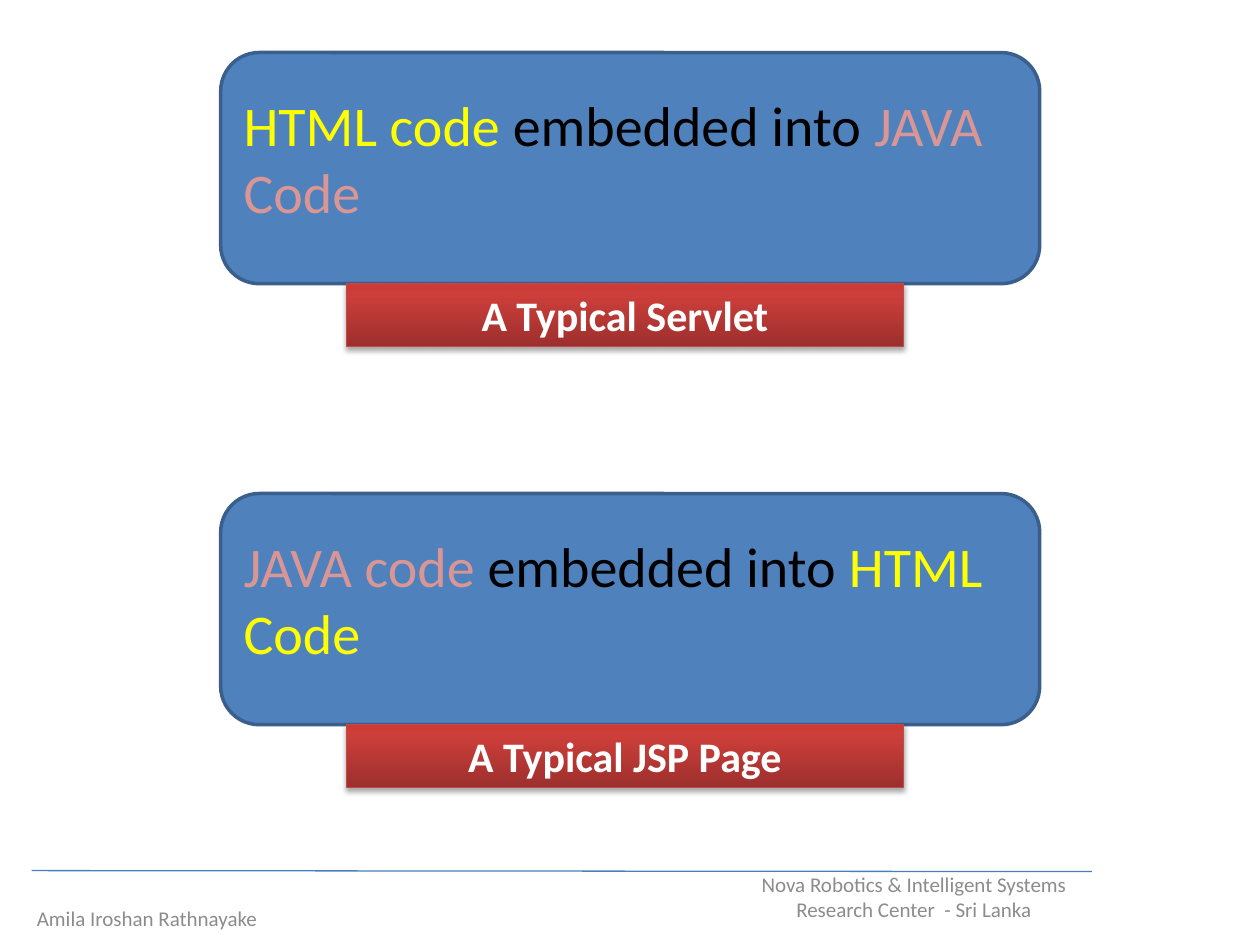
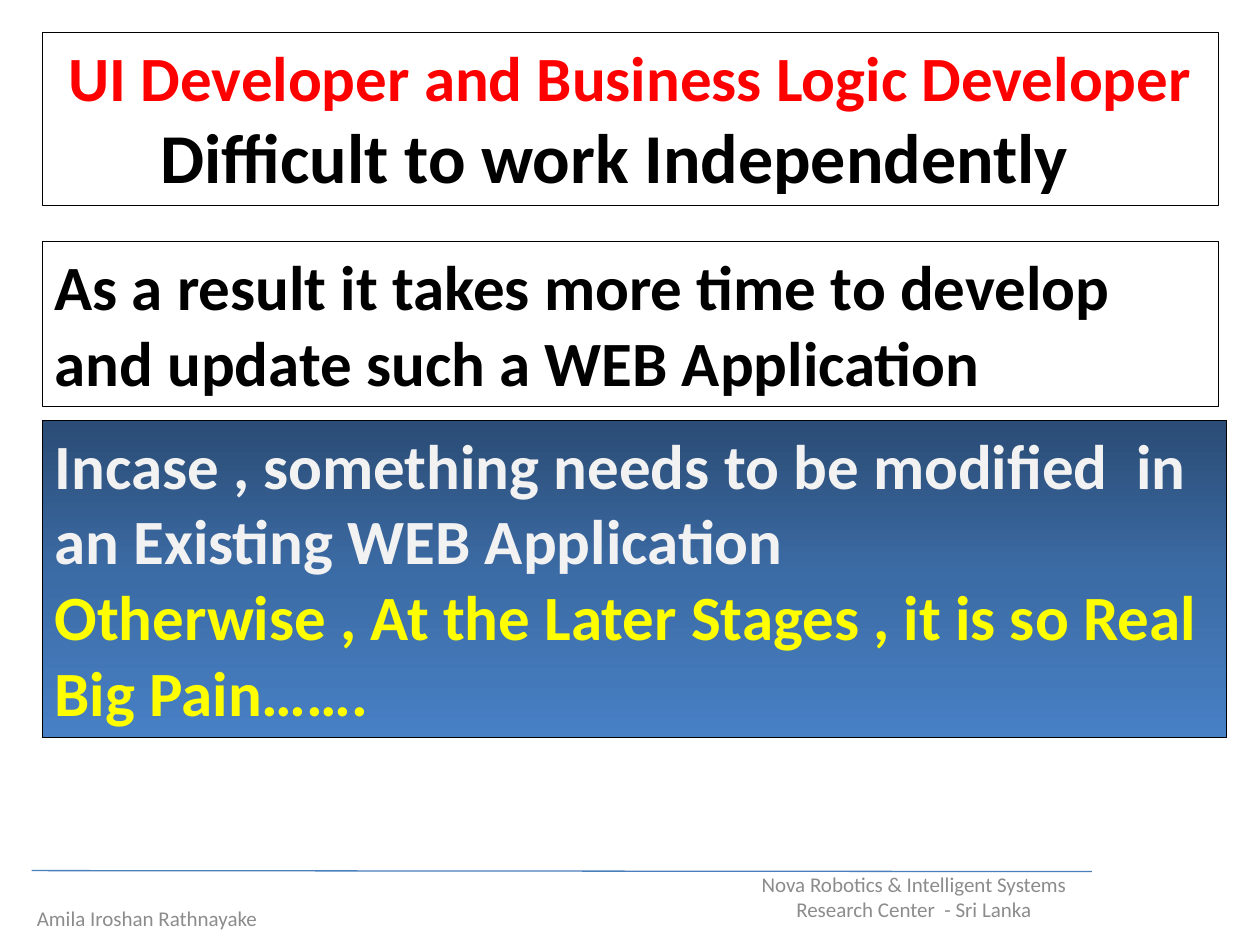
from lxml import etree
from pptx import Presentation
from pptx.dml.color import RGBColor
from pptx.enum import shapes, text
from pptx.oxml.ns import qn
from pptx.util import Cm, Pt

FONT = "Calibri"
BLACK = RGBColor(0x00, 0x00, 0x00)
WHITE = RGBColor(0xFF, 0xFF, 0xFF)
PALE = RGBColor(0xF2, 0xF2, 0xF2)
GREY = RGBColor(0x8C, 0x8C, 0x8C)
YELLOW = RGBColor(0xFF, 0xFF, 0x00)
ROSE = RGBColor(0xD9, 0x96, 0x94)
RED = RGBColor(0xFF, 0x00, 0x00)
PANEL_BLUE = RGBColor(0x4F, 0x81, 0xBD)
PANEL_EDGE = RGBColor(0x3A, 0x5F, 0x8C)
RULE_BLUE = RGBColor(0x4B, 0x7E, 0xBC)
LABEL_EDGE = RGBColor(0xBF, 0x4C, 0x48)
LABEL_GRADIENT = [(0, RGBColor(0x9C, 0x2F, 0x2D)), (80, RGBColor(0xCB, 0x3E, 0x3A)),
                  (100, RGBColor(0xCE, 0x3B, 0x37))]
WARNING_GRADIENT = [(0, RGBColor(0x2A, 0x4C, 0x75)), (50, RGBColor(0x3C, 0x6C, 0xA6)),
                    (100, RGBColor(0x47, 0x80, 0xC5))]

CENTER = text.PP_ALIGN.CENTER
RECTANGLE = shapes.MSO_SHAPE.RECTANGLE
ROUNDED = shapes.MSO_SHAPE.ROUNDED_RECTANGLE

# Boxes are left, top, width, height in centimetres.
FOOTERS = [
    ("Nova Robotics & Intelligent Systems Research Center  - Sri Lanka", (14.4, 17.57, 8.05, 1.02)),
    ("Amila Iroshan Rathnayake", (-1.06, 17.99, 8.05, 1.02)),
]
FOOTER_RULE = (0.64, 17.55, 22.01, 17.57)

# Each paragraph is a list of runs: (text, colour, size).
COMPARISON = [
    ("A Typical Servlet",
     [("HTML code ", YELLOW, 32), ("embedded into ", BLACK, 32), ("JAVA Code", ROSE, 32)]),
    ("A Typical JSP Page",
     [("JAVA code ", ROSE, 32), ("embedded into ", BLACK, 32), ("HTML Code", YELLOW, 32)]),
]
PANEL_LEFT, PANEL_TOP, PANEL_WIDTH, PANEL_HEIGHT = 4.45, 1.06, 16.51, 4.66
PANEL_PITCH = 8.89

HEADLINE = [[("UI Developer and Business Logic Developer ", RED, 36),
             ("Difficult to work Independently  ", BLACK, 40)]]
RESULT = [[("As a result it takes more time to develop", BLACK, 36)],
          [("and update such a WEB Application", BLACK, 36)]]
WARNING = [[("Incase , something needs to be modified  in", PALE, 36)],
           [("an Existing WEB Application", PALE, 36)],
           [("Otherwise , At the Later Stages , it is so Real", YELLOW, 36)],
           [("Big Pain…….", YELLOW, 36)]]
BOX_LEFT, BOX_WIDTH = 0.85, 23.71


def write(shape, paragraphs, align=text.PP_ALIGN.LEFT, bold=False, wrap=True,
          anchor=text.MSO_ANCHOR.TOP, grow=True):
    frame = shape.text_frame
    frame.word_wrap = wrap
    frame.vertical_anchor = anchor
    frame.auto_size = (text.MSO_AUTO_SIZE.SHAPE_TO_FIT_TEXT if grow
                       else text.MSO_AUTO_SIZE.NONE)
    for number, runs in enumerate(paragraphs):
        paragraph = frame.add_paragraph() if number else frame.paragraphs[0]
        paragraph.alignment = align
        for words, colour, size in runs:
            run = paragraph.add_run()
            run.text = words
            run.font.name, run.font.size, run.font.bold = FONT, Pt(size), bold
            run.font.color.rgb = colour


def outline(shape, colour, width):
    shape.line.color.rgb = colour
    shape.line.width = Pt(width)


def add_box(slide, kind, box, edge, edge_width, fill=None):
    shape = slide.shapes.add_shape(kind, *map(Cm, box))
    shape.shadow.inherit = False
    outline(shape, edge, edge_width)
    if fill is None:
        shape.fill.background()
    else:
        shape.fill.solid()
        shape.fill.fore_color.rgb = fill
    return shape


def fill_gradient(shape, stops, angle):
    """Fill with (percent, colour) stops; angle runs counter-clockwise."""
    shape.fill.gradient()
    shape.fill.gradient_angle = angle
    stop_list = next(shape.element.spPr.iter(qn("a:gsLst")))
    for stop in list(stop_list):
        stop_list.remove(stop)
    for percent, colour in stops:
        stop = etree.SubElement(stop_list, qn("a:gs"), pos=str(percent * 1000))
        etree.SubElement(stop, qn("a:srgbClr"), val=str(colour))


def drop_shadow(shape):
    effects = shape.element.spPr.find(qn("a:effectLst"))
    shadow = etree.SubElement(effects, qn("a:outerShdw"), blurRad=str(Pt(3.1)),
                              dist=str(Pt(1.8)), dir="5400000", rotWithShape="0")
    black = etree.SubElement(shadow, qn("a:srgbClr"), val=str(BLACK))
    etree.SubElement(black, qn("a:alpha"), val="35000")


def add_footer(slide):
    for words, box in FOOTERS:
        write(slide.shapes.add_textbox(*map(Cm, box)), [[(words, GREY, 12)]],
              align=CENTER, anchor=text.MSO_ANCHOR.MIDDLE, grow=False)
    rule = slide.shapes.add_connector(shapes.MSO_CONNECTOR.STRAIGHT, *map(Cm, FOOTER_RULE))
    outline(rule, RULE_BLUE, 0.75)
    etree.SubElement(rule._element.spPr, qn("a:effectLst"))


def build_comparison(deck):
    slide = deck.slides.add_slide(deck.slide_layouts[6])
    add_footer(slide)
    for number, (caption, statement) in enumerate(COMPARISON):
        top = PANEL_TOP + number * PANEL_PITCH
        add_box(slide, ROUNDED, (PANEL_LEFT, top, PANEL_WIDTH, PANEL_HEIGHT),
                PANEL_EDGE, 2, PANEL_BLUE)
        statement_box = (PANEL_LEFT + 0.21, top + 0.64, 15.88, 3)
        write(slide.shapes.add_textbox(*map(Cm, statement_box)), [statement])
        label = add_box(slide, RECTANGLE, (6.99, top + PANEL_HEIGHT, 11.22, 1.27),
                        LABEL_EDGE, 0.75)
        fill_gradient(label, LABEL_GRADIENT, 90)
        drop_shadow(label)
        write(label, [[(caption, WHITE, 24)]], align=CENTER, bold=True)


def build_problem(deck):
    slide = deck.slides.add_slide(deck.slide_layouts[5])
    add_footer(slide)
    headline = slide.shapes.title
    headline.left, headline.top, headline.width, headline.height = map(
        Cm, (BOX_LEFT, 0.64, BOX_WIDTH, 3.49))
    outline(headline, BLACK, 0.25)
    write(headline, HEADLINE, align=CENTER, bold=True)

    result = add_box(slide, RECTANGLE, (BOX_LEFT, 4.87, BOX_WIDTH, 3.33), BLACK, 0.5)
    write(result, RESULT, bold=True)

    warning = add_box(slide, RECTANGLE, (BOX_LEFT, 8.47, 23.88, 6.4), BLACK, 0.25)
    fill_gradient(warning, WARNING_GRADIENT, 270)
    write(warning, WARNING, bold=True, wrap=False)


def main():
    deck = Presentation()
    deck.slide_width, deck.slide_height = Cm(25.4), Cm(19.05)
    build_comparison(deck)
    build_problem(deck)
    deck.save("out.pptx")


if __name__ == "__main__":
    main()
